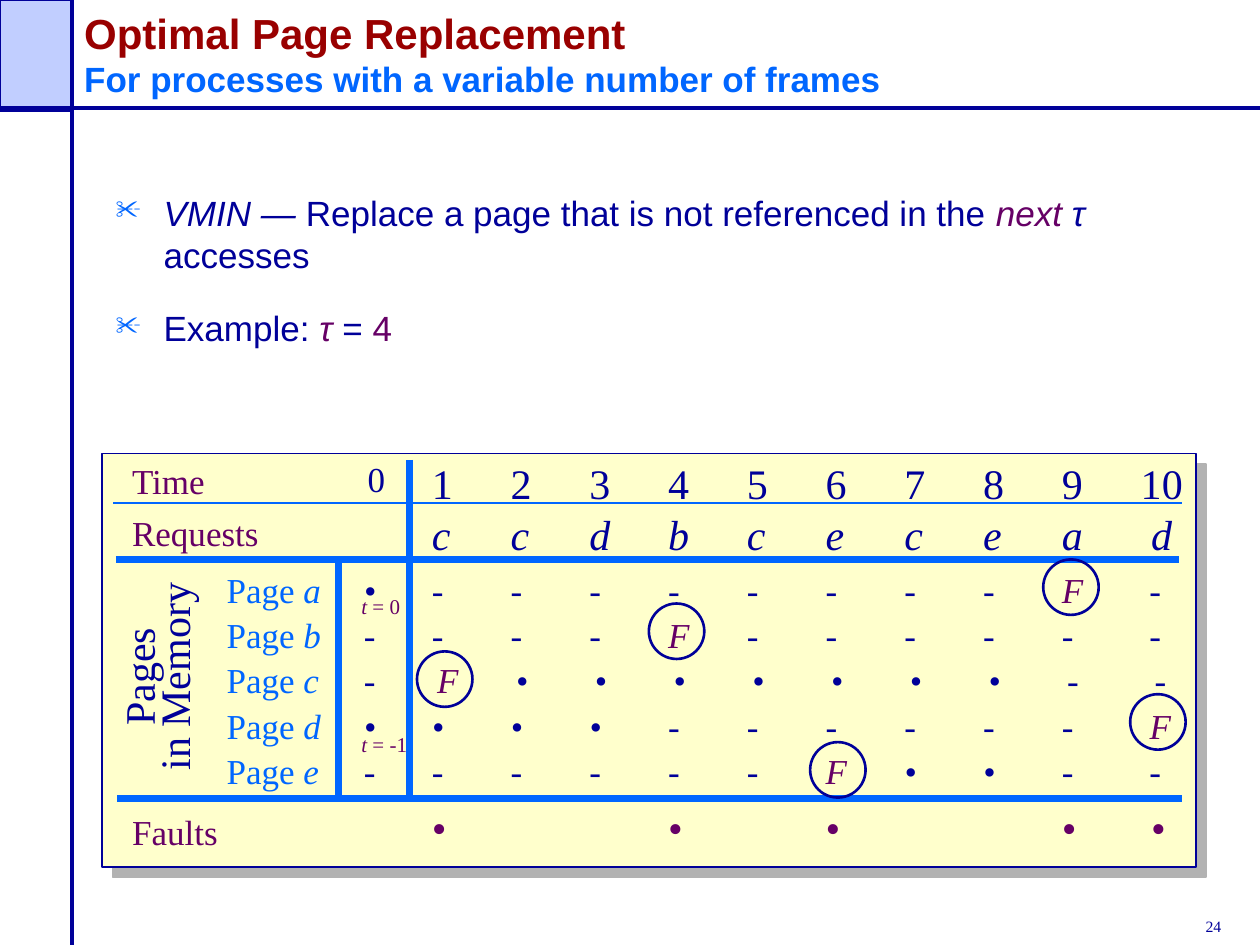
from lxml.etree import SubElement as add_element
from pptx import Presentation
from pptx.dml.color import RGBColor
from pptx.enum.shapes import MSO_CONNECTOR as CONNECTOR, MSO_SHAPE as SHAPE
from pptx.enum.text import MSO_ANCHOR as ANCHOR, PP_ALIGN as ALIGN
from pptx.oxml.ns import qn
from pptx.util import Inches, Pt

NAVY, BLUE, PURPLE, RED = "000099", "0066FF", "660066", "990000"
LAVENDER, CREAM, GREY = "C1CEFF", "FFFFCC", "B2B2B2"
SERIF, SANS = "Times New Roman", "Arial"
TIME_STEP = 5 / 8
TIME_ROW_WIDTH = 6.25
ROW_STEP = 0.36


def rgb(value):
    """Turn a hex string into a colour."""
    return RGBColor.from_string(value)


def add_box(slide, kind, box, fill, width):
    """Add a navy-outlined shape, filled when a colour is given."""
    shape = slide.shapes.add_shape(kind, *map(Inches, box))
    shape.shadow.inherit = False
    if fill:
        shape.fill.solid()
        shape.fill.fore_color.rgb = rgb(fill)
    else:
        shape.fill.background()
    shape.line.color.rgb = rgb(NAVY)
    shape.line.width = Pt(width)
    return shape


def add_line(slide, start, end, color, width):
    """Add a straight line without a shadow."""
    line = slide.shapes.add_connector(
        CONNECTOR.STRAIGHT, *map(Inches, (*start, *end)))
    line.line.color.rgb = rgb(color)
    line.line.width = Pt(width)
    add_element(line._element.spPr, qn("a:effectLst"))


def add_frame(slide, box):
    """Add a wrapping text box and return it."""
    shape = slide.shapes.add_textbox(*map(Inches, box))
    shape.text_frame.word_wrap = True
    return shape


def style(paragraph, size, color, name=SERIF, italic=False, bold=False):
    """Set the font shared by the runs of a paragraph."""
    font = paragraph.font
    font.size, font.name = Pt(size), name
    font.italic, font.bold = italic, bold
    font.color.rgb = rgb(color)


def add_run(paragraph, text, color=None, italic=None, size=None):
    """Add a run with the settings that differ from its paragraph."""
    run = paragraph.add_run()
    run.text = text
    if color:
        run.font.color.rgb = rgb(color)
    if italic is not None:
        run.font.italic = italic
    if size:
        run.font.size = Pt(size)


def add_label(slide, box, text, size, color, italic=False):
    """Add a one-line serif label."""
    paragraph = add_frame(slide, box).text_frame.paragraphs[0]
    style(paragraph, size, color, italic=italic)
    add_run(paragraph, text)


def add_mixed_label(slide, box, parts, size, color):
    """Add a serif label from pairs of text and italic flag."""
    paragraph = add_frame(slide, box).text_frame.paragraphs[0]
    style(paragraph, size, color)
    for text, italic in parts:
        add_run(paragraph, text, italic=italic)


def add_time_row(slide, left, top, height, text, size, color, italic=True):
    """Add a row of values on the time tab stops, its fault in purple."""
    box = (left, top, TIME_ROW_WIDTH, height)
    paragraph = add_frame(slide, box).text_frame.paragraphs[0]
    tabs = add_element(paragraph._p.get_or_add_pPr(), qn("a:tabLst"))
    for step in range(1, 10):
        add_element(tabs, qn("a:tab"), pos=str(Inches(step * TIME_STEP)), algn="l")
    style(paragraph, size, color, italic=italic)
    before, fault, after = text.partition("F")
    for part, part_color in ((before, None), (fault, PURPLE), (after, None)):
        if part:
            add_run(paragraph, part, part_color)


def add_border(slide, left, top, width, height):
    """Draw the corner block, the two rules and the slide number."""
    add_box(slide, SHAPE.RECTANGLE, (left, top, 0.57, 0.88), LAVENDER, 1)
    add_line(slide, (left, top + 0.86), (left + width, top + 0.86), NAVY, 2.25)
    add_line(slide, (left + 0.57, top), (left + 0.57, top + height), NAVY, 2.25)
    add_label(slide, (left + width - 0.53, top + height - 0.27, 0.72, 0.25),
              "24", 9, NAVY)


def add_title(slide, box):
    """Write the title and subtitle."""
    frame = add_frame(slide, box).text_frame
    frame.vertical_anchor = ANCHOR.BOTTOM
    paragraph = frame.paragraphs[0]
    style(paragraph, 24, RED, SANS, bold=True)
    add_run(paragraph, "Optimal Page Replacement")
    paragraph.add_line_break()
    add_run(paragraph, "For processes with a variable number of frames", BLUE, size=20)


def add_body(slide, box):
    """Write the two bullets on the algorithm."""
    frame = add_frame(slide, box).text_frame
    bullets = (
        (("VMIN — ", NAVY, True),
         ("Replace a page that is not referenced in the ", NAVY, False),
         ("next ", PURPLE, True), ("τ", NAVY, True), (" accesses", NAVY, False)),
        (("Example: ", NAVY, False), ("τ ", PURPLE, True),
         ("= ", NAVY, False), ("4", PURPLE, False)),
    )
    for index, runs in enumerate(bullets):
        paragraph = frame.add_paragraph() if index else frame.paragraphs[0]
        properties = paragraph._p.get_or_add_pPr()
        properties.set("marL", str(Inches(0.38)))
        properties.set("indent", str(Inches(-0.38)))
        bullet_color = add_element(properties, qn("a:buClr"))
        add_element(bullet_color, qn("a:srgbClr"), val=BLUE)
        add_element(properties, qn("a:buSzPct"), val="75000")
        add_element(properties, qn("a:buChar"), char="✂")
        if index:
            paragraph.space_before = Pt(18)
        style(paragraph, 20, NAVY, SANS)
        for text, color, italic in runs:
            add_run(paragraph, text, color, italic)


def add_panel(slide, box):
    """Draw the cream panel with its hard grey shadow."""
    panel = add_box(slide, SHAPE.RECTANGLE, box, CREAM, 1)
    effects = panel._element.spPr.find(qn("a:effectLst"))
    shadow = add_element(effects, qn("a:outerShdw"), blurRad="0", dist=str(Pt(8.5)),
                         dir="2700000", algn="ctr", rotWithShape="0")
    add_element(shadow, qn("a:srgbClr"), val=GREY)


def add_memory_chart(slide, left, top, width, height):
    """Lay out the page requests, memory contents and faults over time."""
    add_panel(slide, (left, top, width, height))
    rules = (((0.11, 0.84), (8.55, 0.84), 4), ((0.12, 2.74), (8.57, 2.74), 4),
             ((2.44, 0.05), (2.44, 2.72), 4), ((1.88, 0.87), (1.88, 2.72), 4),
             ((0.09, 0.39), (8.57, 0.39), 1))
    for (x1, y1), (x2, y2), weight in rules:
        add_line(slide, (left + x1, top + y1), (left + x2, top + y2), BLUE, weight)

    for text, y in (("Time", 0), ("Requests", 0.41), ("Faults", 2.78)):
        add_label(slide, (left + 0.14, top + y, 1.3, 0.43), text, 20, PURPLE)
    add_label(slide, (left + 2.01, top - 0.02, 0.4, 0.43), "0", 20, NAVY)

    times = "\t".join(str(time) for time in range(1, 11))
    for text, y, color, italic in (
            (times, -0.02, NAVY, False),
            ("c\tc\td\tb\tc\te\tc\te\ta\t d", 0.39, NAVY, True),
            ("•\t\t\t•\t\t•\t\t\t•\t •", 2.71, PURPLE, False)):
        add_time_row(slide, left + 2.52, top + y, 0.5, text, 24, color, italic)

    pages = (("a", "•", "-\t-\t-\t-\t-\t-\t-\t-\tF\t -", 2.52),
             ("b", "-", "-\t-\t-\tF\t-\t-\t-\t-\t-\t -", 2.52),
             ("c", "-", "F\t•\t•\t•\t•\t•\t•\t•\t-\t -", 2.56),
             ("d", "•", "•\t•\t•\t-\t-\t-\t-\t-\t-\t F", 2.52),
             ("e", "-", "-\t-\t-\t-\t-\tF\t•\t•\t-\t -", 2.52))
    for index, (page, initial, states, x) in enumerate(pages):
        y = top + 0.86 + index * ROW_STEP
        add_mixed_label(slide, (left + 0.89, y, 1, 0.43),
                        (("Page ", False), (page, True)), 20, BLUE)
        add_label(slide, (left + 1.98, y, 0.35, 0.43), initial, 20, NAVY, True)
        add_time_row(slide, left + x, y, 0.43, states, 20, NAVY)

    for text, y in ((" = 0", 1.06), (" = -1", 2.16)):
        add_mixed_label(slide, (left + 1.96, top + y, 0.65, 0.3),
                        (("t", True), (text, False)), 12, PURPLE)

    side = add_frame(slide, (left - 0.37, top + 1.44, 1.69, 0.66))
    side.rotation = 270
    side.text_frame.text = "Pages\nin Memory"
    for paragraph in side.text_frame.paragraphs:
        paragraph.alignment = ALIGN.CENTER
        paragraph.line_spacing = 0.7
        style(paragraph, 24, NAVY)

    for x, y in ((7.47, 0.84), (8.16, 1.91), (5.62, 2.29), (2.5, 1.57), (4.34, 1.19)):
        add_box(slide, SHAPE.OVAL, (left + x, top + y, 0.44, 0.44), None, 1.5)


def main():
    """Build and save the slide."""
    presentation = Presentation()
    presentation.slide_width, presentation.slide_height = Inches(10), Inches(7.5)
    slide = presentation.slides.add_slide(presentation.slide_layouts[6])
    add_border(slide, 0, 0, 10, 7.5)
    add_title(slide, (0.57, 0, 9.43, 0.84))
    add_body(slide, (0.82, 1.47, 8.54, 1.89))
    add_memory_chart(slide, 0.81, 3.6, 8.68, 3.28)
    presentation.save("out.pptx")


if __name__ == "__main__":
    main()
